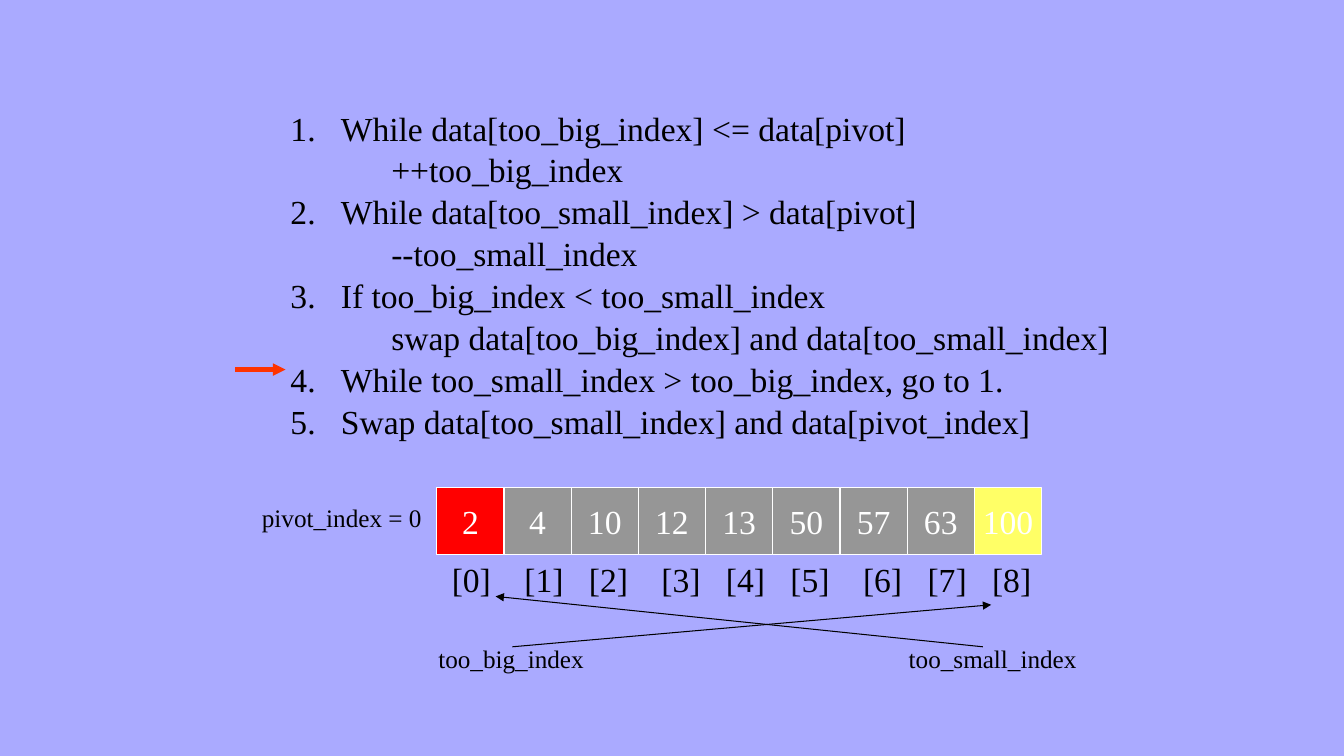
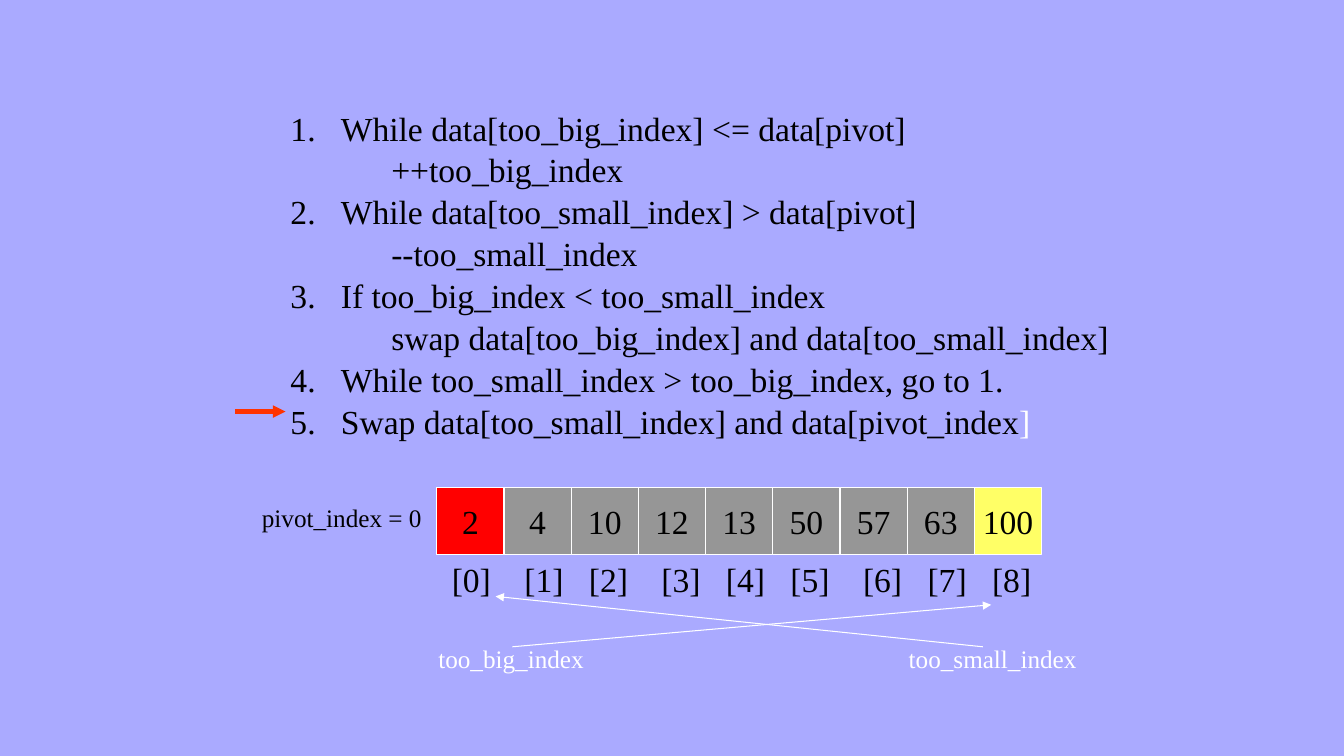
"""Build two slides that step through the partition phase of quicksort."""
from dataclasses import dataclass
from itertools import accumulate

from lxml.etree import SubElement
from pptx import Presentation
from pptx.dml.color import RGBColor
from pptx.enum.shapes import MSO_CONNECTOR as Connector, MSO_SHAPE as Shape
from pptx.enum.text import MSO_ANCHOR as Anchor, PP_ALIGN as Align
from pptx.oxml.ns import qn
from pptx.util import Inches, Pt

COLUMNS, ROWS = 160, 90
UNIT = Inches(1) // 12


@dataclass(frozen=True)
class Theme:
    font: str = "Times New Roman"
    background: str = "AAAAFF"
    dark: str = "000000"
    light: str = "FFFFFF"
    marker: str = "FF3300"
    pivot: str = "FF0000"
    value: str = "969696"
    largest: str = "FFFF66"
    body: float = 24
    label: float = 18
    thin: float = 0.75
    thick: float = 3
    step_gap: float = 1.2


THEME = Theme()

STEPS = [
    (0, "While data[too_big_index] <= data[pivot]"),
    (1, "++too_big_index"),
    (0, "While data[too_small_index] > data[pivot]"),
    (1, "--too_small_index"),
    (0, "If too_big_index < too_small_index"),
    (1, "swap data[too_big_index] and data[too_small_index]"),
    (0, "While too_small_index > too_big_index, go to 1."),
    (0, "Swap data[too_small_index] and data[pivot_index"),
]
VALUES = [2, 4, 10, 12, 13, 50, 57, 63, 100]
WIDE, NARROW = 0.72, 0.64
INDEX_GAPS = [WIDE, NARROW, WIDE, NARROW, NARROW, WIDE, NARROW, NARROW]
CELL, ARRAY_LEFT, ARRAY_TOP = 8, 52, 58


def units(*lengths):
    return [round(length * UNIT) for length in lengths]


def rgb(color):
    return RGBColor.from_string(color)


def apply(target, values):
    for name, value in values.items():
        setattr(target, name, value)


class Painter:
    def __init__(self, theme):
        self.theme = theme
        self.deck = Presentation()
        apply(self.deck, {"slide_width": COLUMNS * UNIT, "slide_height": ROWS * UNIT})
        self.page = None

    def new_page(self):
        self.page = self.deck.slides.add_slide(self.deck.slide_layouts[6])
        fill = self.page.background.fill
        fill.solid()
        fill.fore_color.rgb = rgb(self.theme.background)

    def add_span(self, para, text, size, color):
        span = para.add_run()
        span.text = text
        apply(span.font, {"name": self.theme.font, "size": Pt(size)})
        span.font.color.rgb = rgb(color)

    def text_box(self, left, top, width, height):
        box = self.page.shapes.add_textbox(*units(left, top, width, height))
        box.text_frame.word_wrap = True
        return box.text_frame

    def label(self, text, area, color):
        para = self.text_box(*area).paragraphs[0]
        self.add_span(para, text, self.theme.label, color)

    def steps(self, steps, area, bracket_color):
        theme = self.theme
        frame = self.text_box(*area)
        for number, (level, text) in enumerate(steps):
            para = frame.add_paragraph() if number else frame.paragraphs[0]
            para.level = level
            if number:
                para.space_before = Pt(theme.step_gap)
            props = para._p.get_or_add_pPr()
            props.set("marL", str(Inches(1 if level else 0.5)))
            props.set("indent", str(0 if level else Inches(-0.5)))
            if not level:
                SubElement(props, qn("a:buFont"), typeface="+mj-lt")
                SubElement(props, qn("a:buAutoNum"), type="arabicPeriod")
            self.add_span(para, text, theme.body, theme.dark)
        self.add_span(para, "]", theme.body, bracket_color)

    def cell(self, text, area, fill, color):
        theme = self.theme
        box = self.page.shapes.add_shape(Shape.RECTANGLE, *units(*area))
        box.shadow.inherit = False
        box.fill.solid()
        box.fill.fore_color.rgb = rgb(fill)
        box.line.color.rgb = rgb(theme.light)
        box.line.width = Pt(theme.thin)
        apply(box.text_frame, {
            "word_wrap": False, "vertical_anchor": Anchor.MIDDLE,
            "margin_left": 0, "margin_right": 0,
        })
        para = box.text_frame.paragraphs[0]
        para.alignment = Align.CENTER
        self.add_span(para, text, theme.body, color)

    def array(self, values, color):
        theme = self.theme
        fills = [theme.pivot] + [theme.value] * (len(values) - 2) + [theme.largest]
        for index, (value, fill) in enumerate(zip(values, fills)):
            area = (ARRAY_LEFT + index * CELL, ARRAY_TOP, CELL, CELL)
            self.cell(str(value), area, fill, color)

    def index_row(self, count, gaps, area):
        para = self.text_box(*area).paragraphs[0]
        tabs = SubElement(para._p.get_or_add_pPr(), qn("a:tabLst"))
        for stop in accumulate(gaps):
            SubElement(tabs, qn("a:tab"), pos=str(Inches(stop)), algn="l")
        text = "\t".join(f"[{index}]" for index in range(count))
        self.add_span(para, text, self.theme.body, self.theme.dark)

    def arrow(self, start, end, color, width):
        line = self.page.shapes.add_connector(Connector.STRAIGHT, *units(*start, *end))
        line.line.color.rgb = rgb(color)
        line.line.width = Pt(width)
        SubElement(line.line._get_or_add_ln(), qn("a:tailEnd"), type="triangle")
        SubElement(line._element.spPr, qn("a:effectLst"))

    def partition_page(self, step_row, value_color, pointer_color):
        theme = self.theme
        self.new_page()
        self.steps(STEPS, (33.4, 12.2, 102, 54.5), pointer_color)
        self.arrow((28, step_row), (34, step_row), theme.marker, theme.thick)
        self.array(VALUES, value_color)
        self.label("pivot_index = 0", (30, 59.2, 22, 4.8), theme.dark)
        self.index_row(len(VALUES), INDEX_GAPS, (52.6, 66, 74, 6))
        self.label("too_big_index", (51, 76, 38, 4.8), pointer_color)
        self.arrow((117, 77), (59, 71), pointer_color, theme.thin)
        self.arrow((61, 77), (118, 72), pointer_color, theme.thin)
        self.label("too_small_index", (107, 76, 28, 4.8), pointer_color)


def main():
    painter = Painter(THEME)
    painter.partition_page(44, value_color=THEME.light, pointer_color=THEME.dark)
    painter.partition_page(49, value_color=THEME.dark, pointer_color=THEME.light)
    painter.deck.save("out.pptx")


if __name__ == "__main__":
    main()
